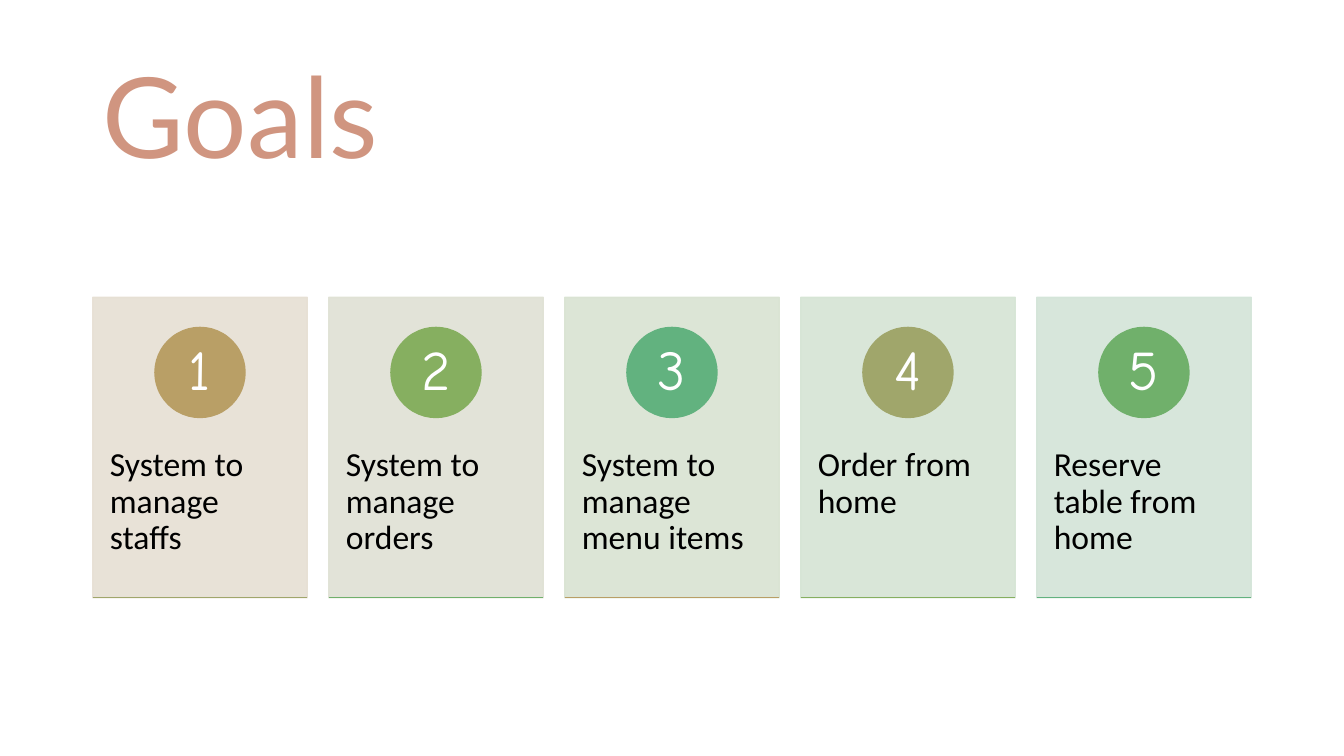
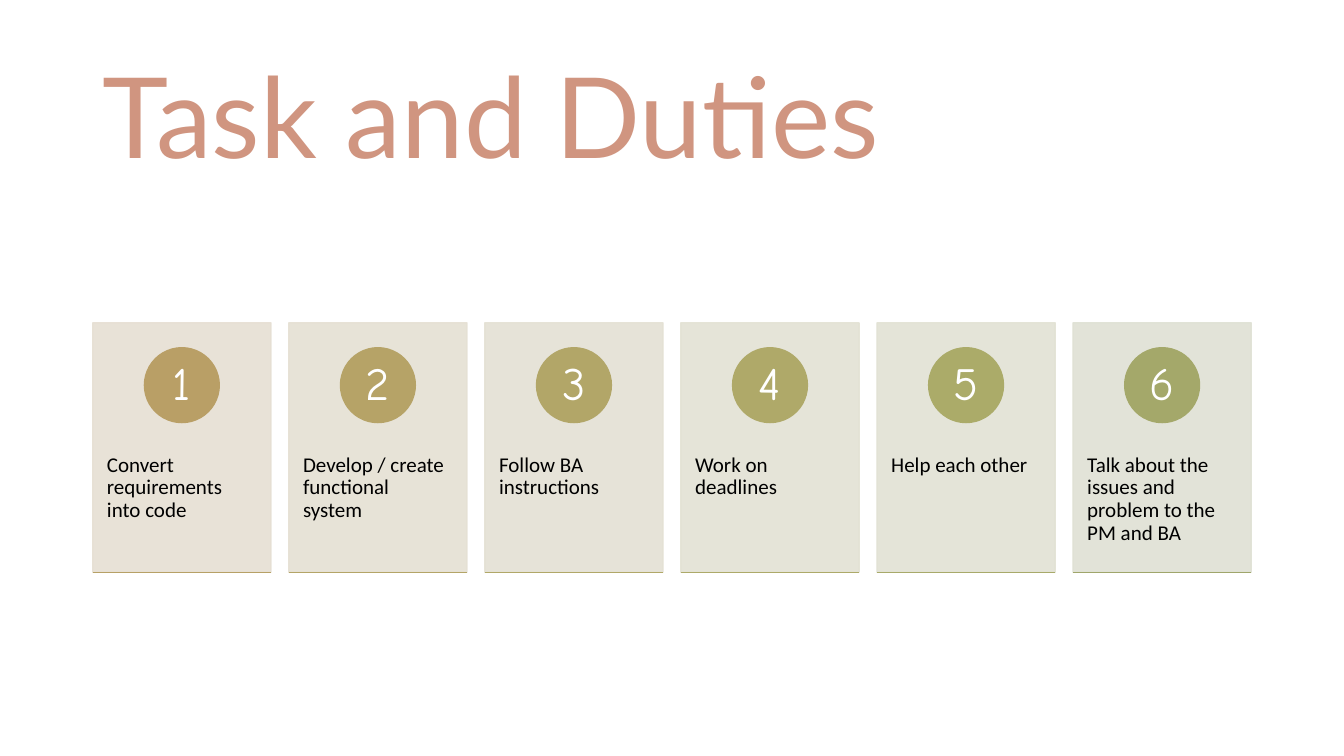
from lxml import etree
from pptx import Presentation
from pptx.dml.color import RGBColor
from pptx.enum.shapes import MSO_CONNECTOR as Connector, MSO_SHAPE as Shape
from pptx.enum.text import MSO_ANCHOR as Anchor, PP_ALIGN as Align
from pptx.oxml.ns import qn
from pptx.util import Inches, Pt

# Shared look
TITLE_COLOR, TEXT_COLOR, BADGE_TEXT_COLOR = "D09580", "000000", "FFFFFF"
TITLE_FONT, BODY_FONT, BADGE_FONT = "Lato", "Calibri", "Comic Neue"
CARD_OPACITY = 90

# Slide size and shared grid
SLIDE_WIDTH, SLIDE_HEIGHT = Inches(13.33), Inches(7.5)
MARGIN = Inches(0.92)
ROW_WIDTH = SLIDE_WIDTH - 2 * MARGIN
ROW_MIDDLE = Inches(4.44)
GAP_SHARE = 0.1  # gap between cards, as a share of a card's width

# Each slide: title, body size, badge size, then (text, card, badge, rule) per card
SLIDES = [
    ("Goals", 24, 40, [
        ("System to manage staffs", "E6DFD3", "B99F66", "A0A66B"),
        ("System to manage orders", "DFE1D4", "86AF60", "70B06B"),
        ("System to manage menu items", "D9E3D2", "62B27F", "B99F66"),
        ("Order from home", "D5E4D4", "A0A66B", "86AF60"),
        ("Reserve table from home", "D3E4D8", "70B06B", "62B27F"),
    ]),
    ("Task and Duties", 15, 33, [
        ("Convert requirements into code", "E6DFD3", "B99F66", "B7A166"),
        ("Develop / create functional system", "E5E0D3", "B6A367", "B4A567"),
        ("Follow BA instructions", "E4E1D4", "B2A668", "B1A868"),
        ("Work on deadlines", "E3E2D4", "AFA969", "ADAA69"),
        ("Help each other", "E2E2D4", "ABAB69", "A8AA6A"),
        ("Talk about the issues and problem to the PM and BA",
         "DFE1D4", "A4A86A", "A0A66B"),
    ]),
]


def paint(color_format, color, opacity=100):
    """Set a solid fill or line colour from a hex string."""
    color_format.solid()
    color_format.fore_color.rgb = RGBColor.from_string(color)
    if opacity < 100:
        color_element = next(color_format._xPr.iter(qn("a:srgbClr")))
        alpha = etree.SubElement(color_element, qn("a:alpha"))
        alpha.set("val", str(opacity * 1000))


def write(shape, text, font, size, color, align=Align.LEFT, anchor=Anchor.TOP,
          spacing=1.0, insets=(Inches(0.1), Inches(0.05))):
    """Write one paragraph; insets are (sides, top)."""
    frame = shape.text_frame
    frame.word_wrap = True
    frame.vertical_anchor = anchor
    frame.margin_left = frame.margin_right = insets[0]
    frame.margin_top = insets[1]
    frame.margin_bottom = insets[1] if anchor == Anchor.MIDDLE else 0
    paragraph = frame.paragraphs[0]
    paragraph.alignment = align
    paragraph.line_spacing = spacing
    run = paragraph.add_run()
    run.text = text
    run.font.name, run.font.size = font, Pt(size)
    run.font.color.rgb = RGBColor.from_string(color)


presentation = Presentation()
presentation.slide_width, presentation.slide_height = SLIDE_WIDTH, SLIDE_HEIGHT

for title, body_size, badge_size, cards in SLIDES:
    slide = presentation.slides.add_slide(presentation.slide_layouts[6])
    shapes = slide.shapes

    # Title
    title_box = shapes.add_textbox(MARGIN, Inches(0.4), ROW_WIDTH, Inches(1.45))
    write(title_box, title, TITLE_FONT, 80, TITLE_COLOR, anchor=Anchor.MIDDLE)

    # Equal columns that fill the row; all card parts scale with the column
    count = len(cards)
    width = int(ROW_WIDTH / (count + GAP_SHARE * (count - 1)))
    height = int(1.4 * width)
    top = ROW_MIDDLE - height // 2
    diameter = int(0.3 * height)

    for column, (text, card_color, badge_color, rule_color) in enumerate(cards):
        left = MARGIN + int(column * width * (1 + GAP_SHARE))

        # Card with its text below the badge
        card = shapes.add_shape(Shape.RECTANGLE, left, top, width, height)
        write(card, text, BODY_FONT, body_size, TEXT_COLOR, spacing=0.9,
              insets=(int(0.08 * width), int(0.38 * height) + Inches(0.36)))

        # Numbered badge
        badge = shapes.add_shape(Shape.OVAL, left + (width - diameter) // 2,
                                 top + int(0.1 * height), diameter, diameter)
        write(badge, str(column + 1), BADGE_FONT, badge_size, BADGE_TEXT_COLOR,
              align=Align.CENTER, anchor=Anchor.MIDDLE, spacing=0.9,
              insets=(Inches(0.06), Inches(0.01)))

        for shape, color, opacity in ((card, card_color, CARD_OPACITY),
                                      (badge, badge_color, 100)):
            shape.shadow.inherit = False
            paint(shape.fill, color, opacity)
            paint(shape.line.fill, color, opacity)
            shape.line.width = Pt(1)

        # Rule along the bottom edge
        bottom = top + height
        rule = shapes.add_connector(Connector.STRAIGHT, left, bottom,
                                    left + width, bottom)
        paint(rule.line.fill, rule_color)
        rule.line.width = Pt(1)
        etree.SubElement(rule._element.spPr, qn("a:effectLst"))

presentation.save("out.pptx")
